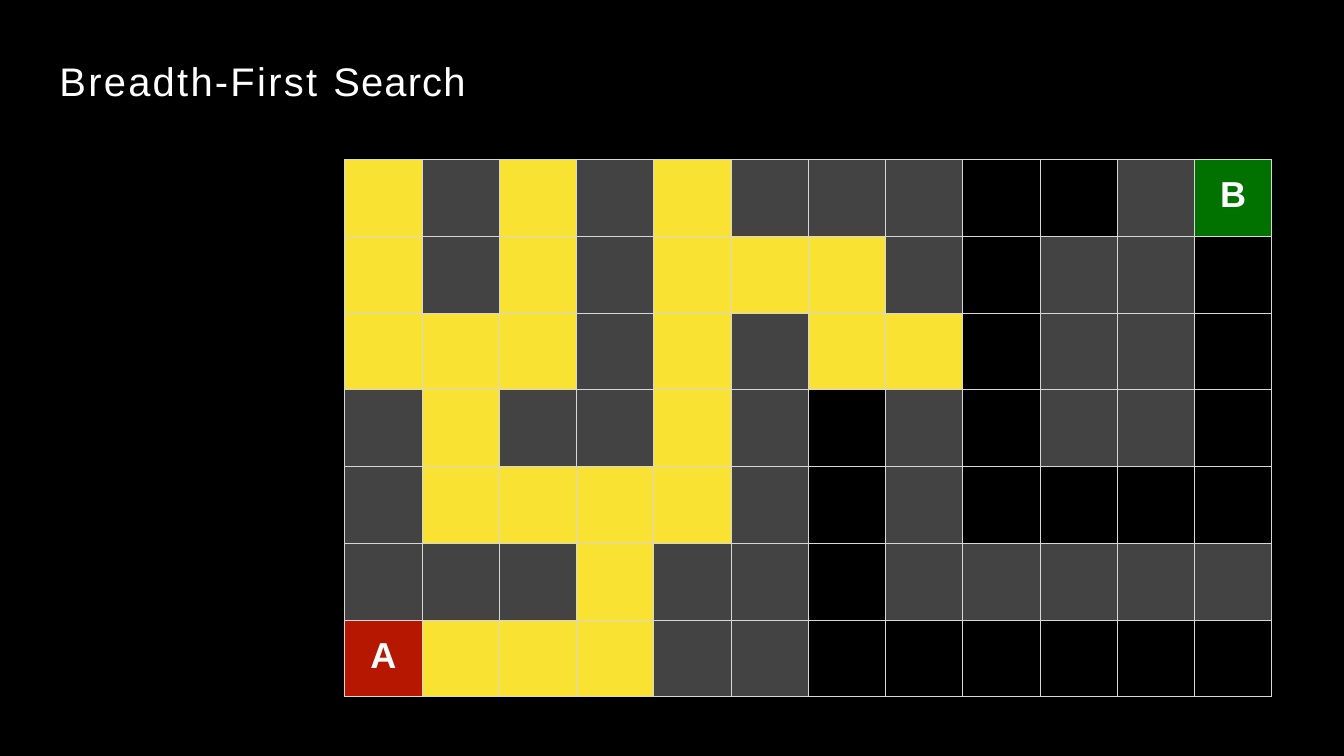
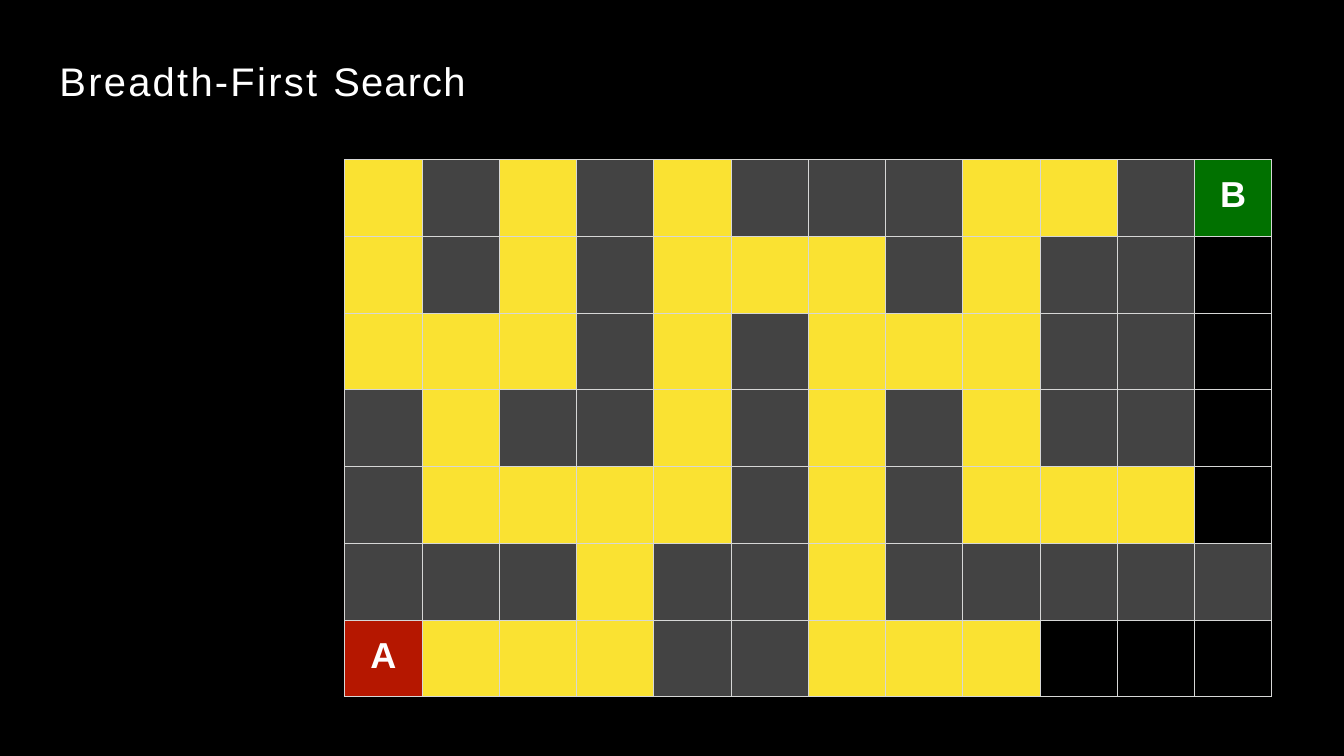
from lxml import etree
from pptx import Presentation
from pptx.dml.color import RGBColor
from pptx.enum.text import MSO_ANCHOR, PP_ALIGN
from pptx.oxml.ns import qn
from pptx.util import Cm, Pt

TOP = MSO_ANCHOR.TOP
LEFT, MID = PP_ALIGN.LEFT, PP_ALIGN.CENTER
FONT = "Arial"
COLORS = {
    "ground": "000000",
    "text": "FFFFFF",
    "line": "D6D7D6",
    "wall": "434343",
    "seen": "FAE232",
    "start": "B51700",
    "goal": "017100",
}
KINDS = {"#": "wall", "A": "start", "B": "goal"}

# "#" is a wall, "." is never reached, a digit is the step that explores a cell
MAZE = [
    "1#1#1###22#B",
    "1#1#111#2##.",
    "111#1#112##.",
    "#1##1#2#2##.",
    "#1111#2#222.",
    "###1##2#####",
    "A111##222...",
]
STEPS = (1, 2)
CELL_W, CELL_H = 3.21, 3.19


def color(name):
    return RGBColor.from_string(COLORS[name])


def write(frame, runs, size, bold=False, align=LEFT):
    """Fill a text frame with (text, letter spacing in points) runs."""
    para = frame.paragraphs[0]
    para.alignment = align
    for text, gap in runs:
        run = para.add_run()
        run.text = text
        font = run.font
        font.name, font.size, font.bold = FONT, Pt(size), bold
        font.color.rgb = color("text")
        if gap:
            run._r.get_or_add_rPr().set("spc", str(round(gap * 100)))


def frame_cell(cell, width=1):
    """Draw all four borders of a table cell."""
    props = cell._tc.get_or_add_tcPr()
    for side in ("lnL", "lnR", "lnT", "lnB"):
        line = etree.SubElement(props, qn(f"a:{side}"), w=str(Pt(width)))
        fill = etree.SubElement(line, qn("a:solidFill"))
        etree.SubElement(fill, qn("a:srgbClr"), val=COLORS["line"])


def cell_kind(mark, step):
    if mark.isdigit():
        return "seen" if int(mark) <= step else "ground"
    return KINDS.get(mark, "ground")


class Deck:
    """Holds the shared style and the current slide."""

    def __init__(self, width, height):
        self.prs = Presentation()
        self.prs.slide_width, self.prs.slide_height = Cm(width), Cm(height)
        self.slide = None

    def add_slide(self):
        self.slide = self.prs.slides.add_slide(self.prs.slide_layouts[6])
        fill = self.slide.background.fill
        fill.solid()
        fill.fore_color.rgb = color("ground")

    def title(self, runs):
        box = self.slide.shapes.add_textbox(Cm(2.44), Cm(2.18), Cm(16.97), Cm(2.06))
        frame = box.text_frame
        frame.word_wrap = True
        frame.vertical_anchor = TOP
        frame.margin_left = Cm(0.03)
        frame.margin_right = frame.margin_bottom = 0
        frame.margin_top = Cm(0.18)
        write(frame, runs, size=47)

    def maze(self, rows, step):
        """Draw the maze with the cells explored up to the given step."""
        high, wide = len(rows), len(rows[0])
        table = self.slide.shapes.add_table(
            high, wide, Cm(14.33), Cm(6.63), Cm(wide * CELL_W), Cm(high * CELL_H)
        ).table
        table.first_row = table.horz_banding = False
        for col in table.columns:
            col.width = Cm(CELL_W)
        for r, marks in enumerate(rows):
            table.rows[r].height = Cm(CELL_H)
            for c, mark in enumerate(marks):
                self.cell(table.cell(r, c), mark, step)

    def cell(self, cell, mark, step):
        frame_cell(cell)
        cell.fill.solid()
        cell.fill.fore_color.rgb = color(cell_kind(mark, step))
        if mark.isalpha():
            cell.margin_left = cell.margin_right = cell.margin_bottom = 0
            cell.margin_top = Cm(0.65)
            write(cell.text_frame, [(mark, 0)], size=42.5, bold=True, align=MID)


def main():
    deck = Deck(55.85, 31.42)
    for step in STEPS:
        deck.add_slide()
        deck.maze(MAZE, step)
        deck.title([("Breadth-First ", 2.7), ("Search", 1.4)])
    deck.prs.save("out.pptx")


if __name__ == "__main__":
    main()
